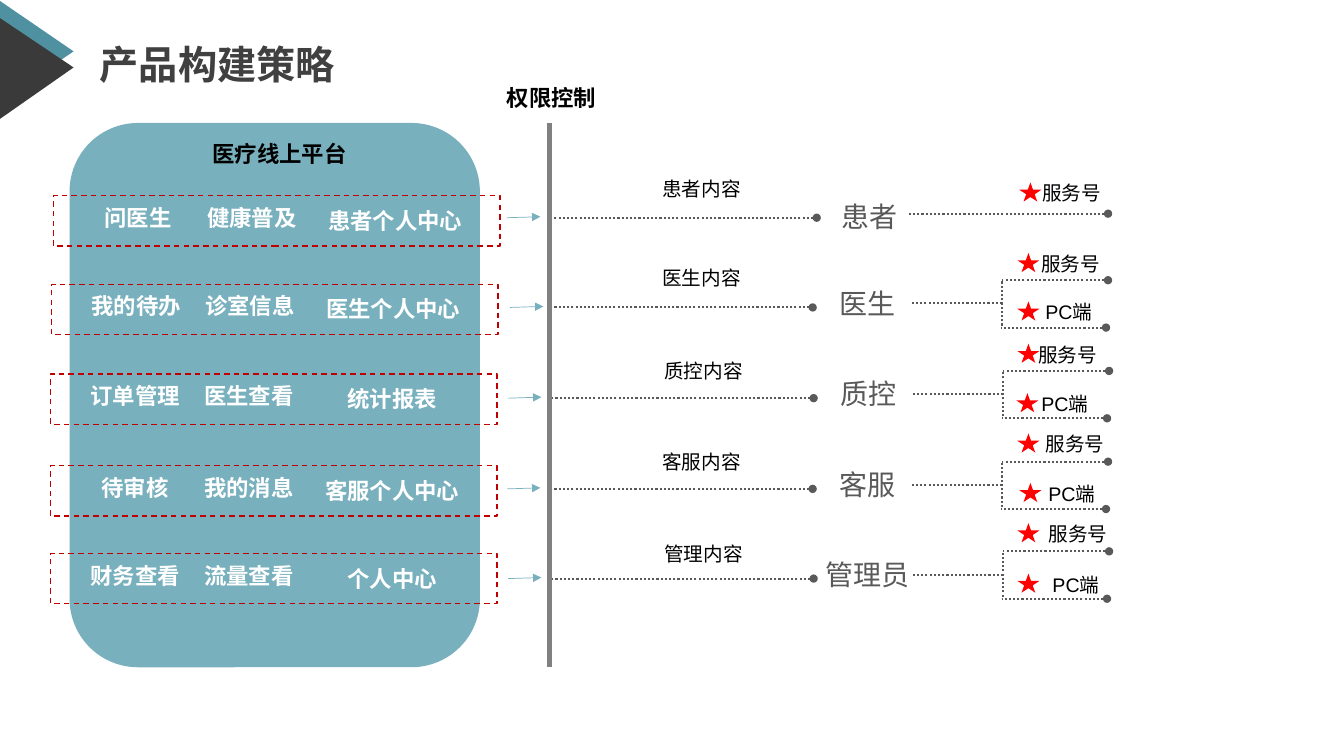
import pptx
import pptx.util
from lxml import etree
from pptx.dml.color import RGBColor
from pptx.enum.dml import MSO_LINE
from pptx.enum.shapes import MSO_CONNECTOR, MSO_SHAPE
from pptx.enum.text import MSO_ANCHOR, MSO_AUTO_SIZE, PP_ALIGN
from pptx.oxml.ns import qn
from pptx.util import Inches, Pt

COLORS = {
    "teal": "79B0BD", "deep_teal": "4F91A0", "charcoal": "3A3A3A",
    "title": "404040", "role": "595959", "gate": "808080",
    "frame": "C00000", "star": "FF0000", "black": "000000", "white": "FFFFFF",
}
CJK_FONT = "Noto Sans CJK SC"
STYLES = {
    "title": {"size": Pt(28), "name": "Roboto", "bold": True},
    "heading": {"size": Pt(16), "name": "Arial", "bold": True},
    "module": {"size": Pt(16), "name": CJK_FONT, "bold": True},
    "role": {"size": Pt(20), "name": CJK_FONT, "bold": False},
    "label": {"size": Pt(14), "name": "Arial", "bold": False},
}
TEXT_COLORS = {"title": "title", "heading": "black", "module": "white",
               "role": "role", "label": "black"}

# One entry per user group; each position is (left, top) in inches.
ROLES = [
    {"modules": ("问医生", "健康普及", "患者个人中心"), "frame": (0.53, 1.94),
     "arrow": 5.03, "flow": (8.1, 2.16), "content": ("患者内容", 6.47, 1.71),
     "role": ("患者", 8.35, 1.98, 0.77),
     "channels": [("服务号", 10.24, 1.75, 10.11)]},
    {"modules": ("我的待办", "诊室信息", "医生个人中心"), "frame": (0.51, 2.82),
     "arrow": 5.06, "flow": (8.06, 3.05), "content": ("医生内容", 6.47, 2.59),
     "role": ("医生", 8.33, 2.84, 0.69),
     "channels": [("服务号", 10.23, 2.45, 10.09), ("PC端", 10.27, 2.93, 10.09)]},
    {"modules": ("订单管理", "医生查看", "统计报表"), "frame": (0.5, 3.71),
     "arrow": 5.04, "flow": (8.07, 3.95), "content": ("质控内容", 6.49, 3.51),
     "role": ("质控", 8.34, 3.74, 0.69),
     "channels": [("服务号", 10.2, 3.35, 10.09), ("PC端", 10.23, 3.84, 10.08)]},
    {"modules": ("待审核", "我的消息", "客服个人中心"), "frame": (0.5, 4.62),
     "arrow": 5.03, "flow": (8.06, 4.85), "content": ("客服内容", 6.47, 4.41),
     "role": ("客服", 8.33, 4.64, 0.69),
     "channels": [("服务号", 10.27, 4.24, 10.09), ("PC端", 10.3, 4.73, 10.11)]},
    {"modules": ("财务查看", "流量查看", "个人中心"), "frame": (0.5, 5.49),
     "arrow": 5.04, "flow": (8.07, 5.74), "content": ("管理内容", 6.49, 5.33),
     "role": ("管理员", 8.19, 5.53, 0.84),
     "channels": [("服务号", 10.3, 5.13, 10.09), ("PC端", 10.34, 5.63, 10.09)]},
]
# Offset from the frame corner and width of each module label.
MODULE_SLOTS = [(0.37, 0.08, 0.94), (1.5, 0.08, 0.94), (2.69, 0.11, 1.4)]


def rgb(color):
    return RGBColor.from_string(COLORS[color])


def write(frame, text, style):
    paragraph = frame.paragraphs[0]
    run = paragraph.add_run()
    run.text = text
    for attribute, value in STYLES[style].items():
        setattr(run.font, attribute, value)
    run.font.color.rgb = rgb(TEXT_COLORS[style])
    east_asian = etree.Element(qn("a:ea"), typeface=CJK_FONT)
    run.font._element.find(qn("a:latin")).addnext(east_asian)
    return paragraph


def add_text(slide, text, style, left, top, width, height, inset=True):
    box = slide.shapes.add_textbox(*map(Inches, (left, top, width, height)))
    frame = box.text_frame
    frame.word_wrap = True
    frame.auto_size = MSO_AUTO_SIZE.SHAPE_TO_FIT_TEXT
    if not inset:
        for side in ("left", "top", "right", "bottom"):
            setattr(frame, "margin_" + side, 0)
    paragraph = write(frame, text, style)
    if style == "module":
        frame.vertical_anchor = MSO_ANCHOR.MIDDLE
        paragraph.alignment = PP_ALIGN.CENTER


def add_block(slide, preset, left, top, width, height, fill=None, outline=None):
    block = slide.shapes.add_shape(preset, *map(Inches, (left, top, width, height)))
    block.shadow.inherit = False
    if fill:
        block.fill.solid()
        block.fill.fore_color.rgb = rgb(fill)
    else:
        block.fill.background()
    if outline:
        block.line.color.rgb = rgb(outline)
        block.line.width = Pt(1)
        block.line.dash_style = MSO_LINE.DASH
    else:
        block.line.fill.background()


def add_line(slide, start, end, color="role", width=1.5, dash=MSO_LINE.ROUND_DOT,
             head=None, tail=None):
    """Draw a line; head is the mark at its start, tail the one at its end."""
    line = slide.shapes.add_connector(MSO_CONNECTOR.STRAIGHT,
                                      *map(Inches, (*start, *end)))
    line.line.color.rgb = rgb(color)
    line.line.width = Pt(width)
    if dash:
        line.line.dash_style = dash
    outline = line.line._get_or_add_ln()
    for tag, mark in (("a:headEnd", head), ("a:tailEnd", tail)):
        if mark:
            etree.SubElement(outline, qn(tag), type=mark)
    etree.SubElement(line._element.spPr, qn("a:effectLst"))


def add_corner(slide, color, points):
    start, *others = [(Inches(x), Inches(y)) for x, y in points]
    builder = slide.shapes.build_freeform(*start)
    builder.add_line_segments(others, close=True)
    corner = builder.convert_to_shape()
    corner.shadow.inherit = False
    corner.fill.solid()
    corner.fill.fore_color.rgb = rgb(color)
    corner.line.fill.background()


def set_title(slide, text):
    title = slide.shapes.title
    bounds = {"left": 0.89, "top": 0.34, "width": 5.28, "height": 0.65}
    for attribute, value in bounds.items():
        setattr(title, attribute, Inches(value))
    title.text_frame.auto_size = MSO_AUTO_SIZE.NONE
    title.text_frame.vertical_anchor = MSO_ANCHOR.MIDDLE
    paragraph = write(title.text_frame, text, "title")
    paragraph.alignment = PP_ALIGN.LEFT
    paragraph.line_spacing = 0.9


def add_modules(slide, role):
    left, top = role["frame"]
    for text, (dx, dy, width) in zip(role["modules"], MODULE_SLOTS):
        add_text(slide, text, "module", left + dx, top + dy, width, 0.27, inset=False)
    add_block(slide, MSO_SHAPE.RECTANGLE, left, top, 4.43, 0.5, outline="frame")


def add_flow(slide, role):
    """Draw the arrow into the gate and the dotted line on to the role."""
    flow_x, flow_y = role["flow"]
    arrow_x = role["arrow"]
    add_line(slide, (arrow_x, flow_y), (arrow_x + 0.33, flow_y - 0.01),
             "teal", 0.5, dash=None, tail="triangle")
    add_line(slide, (flow_x, flow_y), (5.47, flow_y), head="oval")
    content, left, top = role["content"]
    add_text(slide, content, "label", left, top, 1.42, 0.34)
    name, left, top, width = role["role"]
    add_text(slide, name, "role", left, top, width, 0.34, inset=False)


def add_channels(slide, role):
    flow_x, flow_y = role["flow"]
    if len(role["channels"]) == 1:
        add_line(slide, (10.99, flow_y - 0.04), (9, flow_y - 0.04), head="oval")
    else:
        fork, upper, lower = flow_x + 1.88, flow_y - 0.27, flow_y + 0.2
        add_line(slide, (fork + 1.05, upper), (fork, upper), head="oval")
        add_line(slide, (fork + 1.03, lower), (fork - 0.01, lower), head="oval")
        add_line(slide, (fork, flow_y - 0.04), (fork - 0.9, flow_y - 0.04))
        add_line(slide, (fork, lower - 0.02), (fork, upper))
    for channel, left, top, star_left in role["channels"]:
        add_text(slide, channel, "label", left, top, 0.94, 0.34)
        add_block(slide, MSO_SHAPE.STAR_5_POINT, star_left, top + 0.06, 0.22, 0.19,
                  fill="star")


def main():
    deck = pptx.Presentation()
    deck.slide_width, deck.slide_height = Inches(13.33), Inches(7.5)
    slide = deck.slides.add_slide(deck.slide_layouts[5])
    add_corner(slide, "deep_teal", [(0, 0.01), (0.73, 0.51), (0, 1.01)])
    add_corner(slide, "charcoal", [(0, 0.18), (0.73, 0.67), (0, 1.18)])
    set_title(slide, "产品构建策略")
    add_block(slide, MSO_SHAPE.ROUNDED_RECTANGLE, 0.69, 1.22, 4.07, 5.4, fill="teal")
    add_text(slide, "医疗线上平台", "heading", 2.01, 1.34, 1.58, 0.37)
    add_text(slide, "权限控制", "heading", 4.93, 0.79, 1.16, 0.37)
    for role in ROLES:
        add_modules(slide, role)
        add_flow(slide, role)
        add_channels(slide, role)
    add_line(slide, (5.45, 1.22), (5.45, 6.62), "gate", 4.25, dash=None)
    deck.save("out.pptx")


if __name__ == "__main__":
    main()
